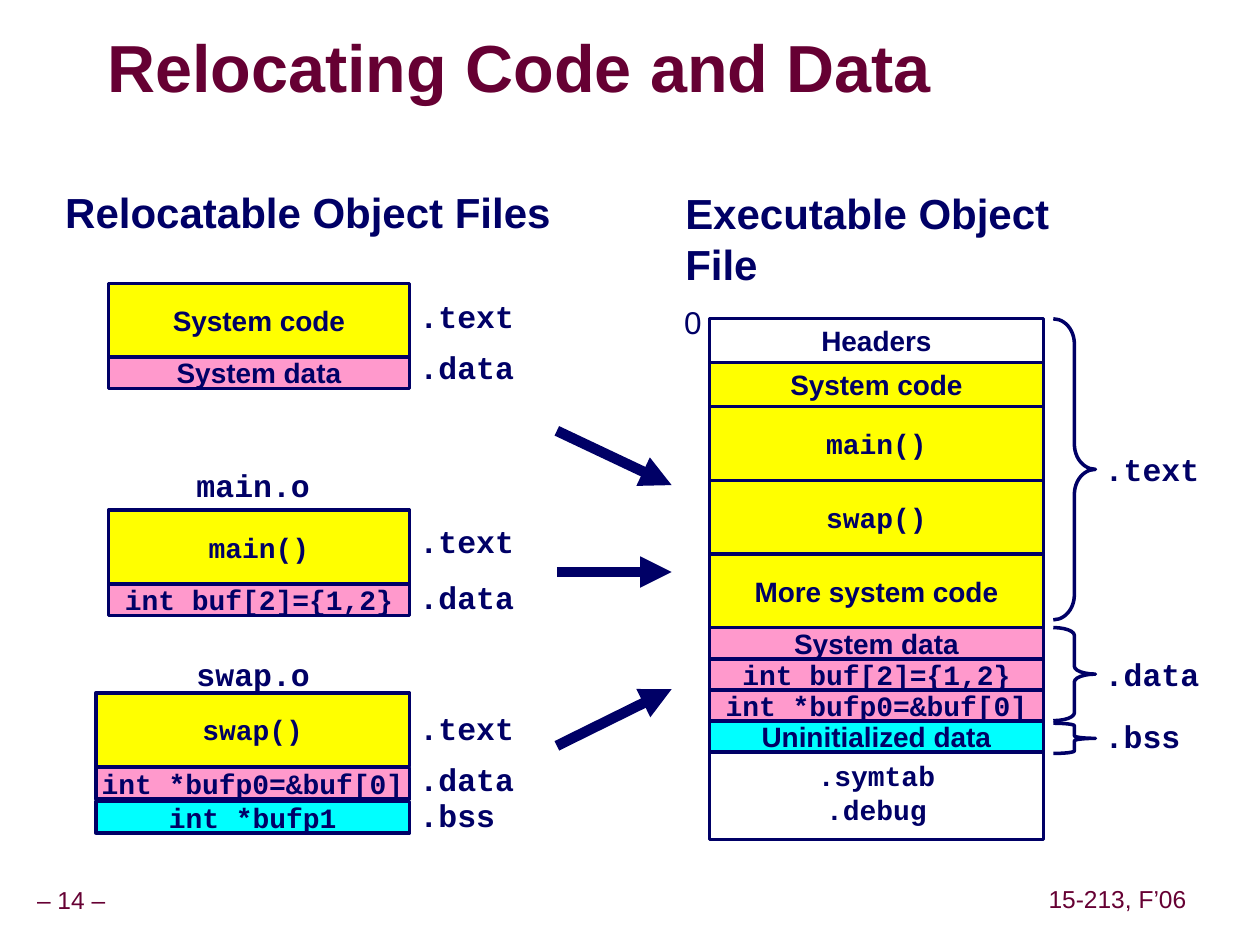
"""Build the slide that shows how object files are relocated into an executable."""
from lxml.etree import SubElement
from pptx import Presentation
from pptx.dml.color import RGBColor
from pptx.enum.shapes import MSO_CONNECTOR, MSO_SHAPE
from pptx.enum.text import MSO_ANCHOR, PP_ALIGN
from pptx.oxml.ns import qn
from pptx.util import Pt

COLORS = {"navy": "000066", "maroon": "660033", "yellow": "FFFF00",
          "pink": "FF99CC", "cyan": "00FFFF", "white": "FFFFFF", "gray": "969696"}
SANS, MONO = "Arial", "Courier New"
LINE_WIDTH = 2

TITLE = ("Relocating Code and Data", (61.2, 18, 598.3, 45.4))
FOOTERS = [("– 14 –", (-6.5, 504, 94.3, 22.3)),
           ("15-213, F’06", (595.4, 503.3, 86.4, 22.3))]
HEADINGS = [("Relocatable Object Files", (30.2, 103, 291.6, 36)),
            ("Executable Object File", (384.5, 103.7, 270, 36))]
FILE_NAMES = [("main.o", (105.1, 262.8, 79.2, 28.8)),
              ("swap.o", (105.1, 370.8, 79.2, 28.8))]
START_ADDRESS = ("0", (383.8, 169.9, 24.5, 28.8))

# left, top, width, rows of (text, font, fill, height, gap above)
STACKS = [
    (61.9, 162, 172.1, [("System code", SANS, "yellow", 42, 0),
                        ("System data", SANS, "pink", 18, 0)]),
    (61.9, 291.6, 172.1, [("main()", MONO, "yellow", 42, 0),
                          ("int buf[2]={1,2}", MONO, "pink", 18, 0)]),
    (54.7, 396, 179.3, [("swap()", MONO, "yellow", 42, 0),
                        ("int *bufp0=&buf[0]", MONO, "pink", 18, 0.5),
                        ("int *bufp1", MONO, "cyan", 18, 1.4)]),
    (405.4, 182, 190.8, [("Headers", SANS, "white", 25.2, 0),
                         ("System code", SANS, "yellow", 25.2, 0),
                         ("main()", MONO, "yellow", 42.1, 0),
                         ("swap()", MONO, "yellow", 42.1, 0),
                         ("More system code", SANS, "yellow", 42.1, 0),
                         ("System data", SANS, "pink", 18, 0),
                         ("int buf[2]={1,2}", MONO, "pink", 18, -0.4),
                         ("int *bufp0=&buf[0]", MONO, "pink", 18, -0.4),
                         ("Uninitialized data", SANS, "cyan", 18, -0.2),
                         (".symtab\n.debug", MONO, "white", 54, -4)]),
]
SECTION_LABELS = {
    232.6: [(".text", 166.3), (".data", 195.1), (".text", 294.5), (".data", 326.9),
            (".text", 401.8), (".data", 430.6), (".bss", 451.4)],
    624.2: [(".text", 253.4), (".data", 370.8), (".bss", 406.1)],
}
BRACES = [(182.2, 354.2), (358.6, 411.8), (413.3, 430.6)]
BRACE_LEFT, BRACE_WIDTH = 601.9, 24.1
ARROWS = [(246.2, 277.2), (326.9, 326.9), (426.2, 393.8)]
ARROW_LEFT, ARROW_RIGHT = 318.2, 383.8


def color(name):
    return RGBColor.from_string(COLORS[name])


def set_attributes(target, values):
    for name, value in values.items():
        setattr(target, name, value)


def write(shape, text, size, font=SANS, ink="navy", bold=True, align=PP_ALIGN.LEFT,
          anchor=MSO_ANCHOR.TOP, spacing=None, wrap=False, insets=(7.2, 3.6)):
    frame = shape.text_frame
    horizontal, vertical = map(Pt, insets)
    set_attributes(frame, {"text": text, "word_wrap": wrap, "vertical_anchor": anchor,
                           "margin_left": horizontal, "margin_right": horizontal,
                           "margin_top": vertical, "margin_bottom": vertical})
    for paragraph in frame.paragraphs:
        set_attributes(paragraph, {"alignment": align, "line_spacing": spacing})
        for run in paragraph.runs:
            set_attributes(run.font, {"name": font, "size": Pt(size), "bold": bold})
            run.font.color.rgb = color(ink)


def add_text(slide, text, box, size, **style):
    shape = slide.shapes.add_textbox(*map(Pt, box))
    write(shape, text, size, **style)
    return shape


def add_outlined(slide, kind, box):
    shape = slide.shapes.add_shape(kind, *map(Pt, box))
    shape.shadow.inherit = False
    shape.line.color.rgb = color("navy")
    shape.line.width = Pt(LINE_WIDTH)
    return shape


def add_stack(slide, left, top, width, rows):
    placed = []
    for text, font, fill, height, gap in rows:
        top += gap
        placed.append((text, font, fill, (left, top, width, height)))
        top += height
    for text, font, fill, box in reversed(placed):
        shape = add_outlined(slide, MSO_SHAPE.RECTANGLE, box)
        shape.fill.solid()
        shape.fill.fore_color.rgb = color(fill)
        write(shape, text, 16, font=font, align=PP_ALIGN.CENTER, anchor=MSO_ANCHOR.MIDDLE)


def add_brace(slide, top, bottom):
    height = bottom - top
    shape = add_outlined(slide, MSO_SHAPE.RIGHT_BRACE, (BRACE_LEFT, top, BRACE_WIDTH, height))
    shape.fill.background()
    shape.adjustments[0] = height / 12 / min(BRACE_WIDTH, height)


def add_arrow(slide, start, end):
    arrow = slide.shapes.add_connector(MSO_CONNECTOR.STRAIGHT, Pt(ARROW_LEFT), Pt(start),
                                       Pt(ARROW_RIGHT), Pt(end))
    arrow.line.color.rgb = color("navy")
    arrow.line.width = Pt(6)
    SubElement(arrow.line._get_or_add_ln(), qn("a:tailEnd"), type="triangle")
    SubElement(arrow._element.spPr, qn("a:effectLst"))


def add_text_shadow(shape):
    properties = shape.text_frame.paragraphs[0].runs[0].font._element
    effects = properties.makeelement(qn("a:effectLst"), {})
    properties.find(qn("a:solidFill")).addnext(effects)
    shadow = SubElement(effects, qn("a:outerShdw"), dist=str(Pt(4)), dir="2700000")
    SubElement(shadow, qn("a:srgbClr"), val=COLORS["gray"])


def main():
    presentation = Presentation()
    set_attributes(presentation, {"slide_width": Pt(720), "slide_height": Pt(540)})
    slide = presentation.slides.add_slide(presentation.slide_layouts[6])

    for text, box in FOOTERS:
        add_text(slide, text, box, 14, ink="maroon", bold=False, align=PP_ALIGN.CENTER,
                 anchor=MSO_ANCHOR.MIDDLE, spacing=0.9, insets=(3.6, 3.6))
    title = add_text(slide, *TITLE, 38, ink="maroon", anchor=MSO_ANCHOR.MIDDLE,
                     spacing=0.87, wrap=True, insets=(0, 0))
    add_text_shadow(title)
    for text, box in HEADINGS:
        add_text(slide, text, box, 24)
    for stack in STACKS:
        add_stack(slide, *stack)
    for text, box in FILE_NAMES:
        add_text(slide, text, box, 18, font=MONO, align=PP_ALIGN.CENTER)
    add_text(slide, *START_ADDRESS, 18, bold=False)
    for left, labels in SECTION_LABELS.items():
        for text, top in labels:
            add_text(slide, text, (left, top, 68.4, 28.8), 18, font=MONO)
    for top, bottom in BRACES:
        add_brace(slide, top, bottom)
    for start, end in ARROWS:
        add_arrow(slide, start, end)

    presentation.save("out.pptx")


if __name__ == "__main__":
    main()
